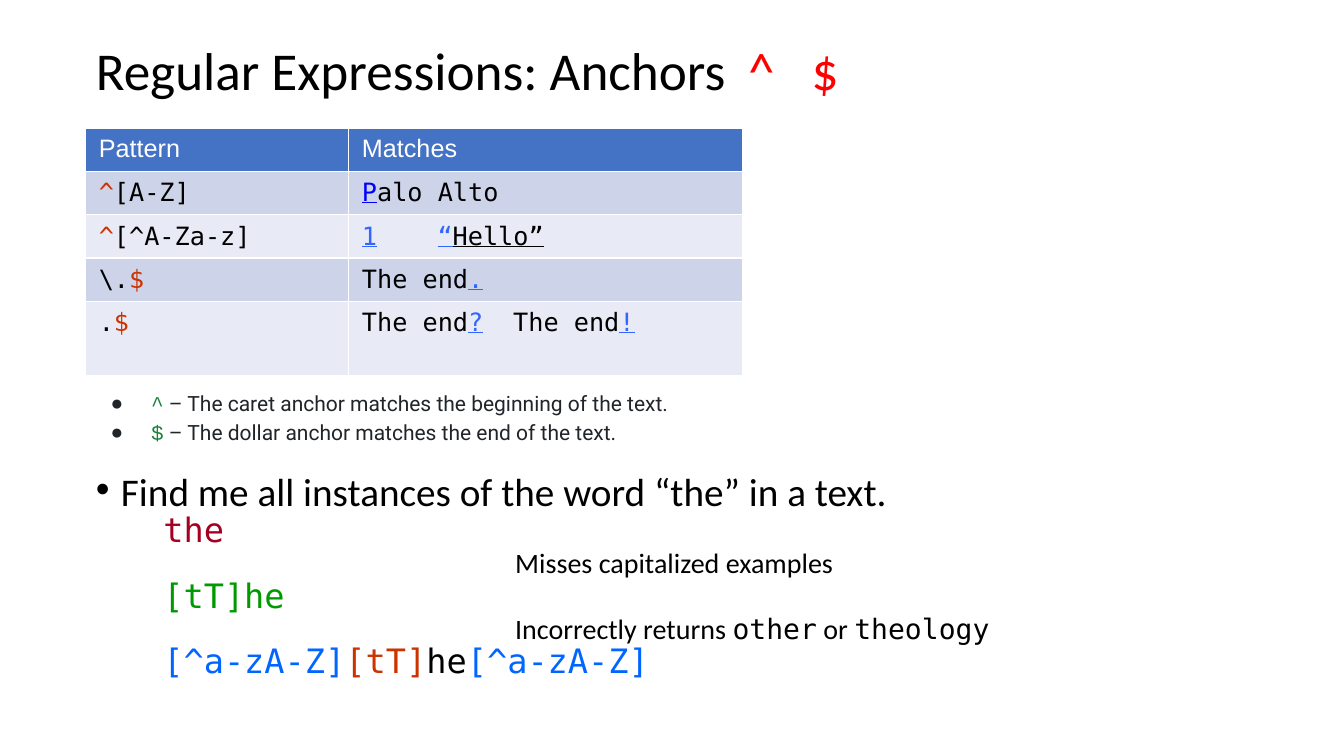
from lxml.etree import SubElement
from pptx import Presentation
from pptx.dml.color import RGBColor
from pptx.enum.text import MSO_ANCHOR, MSO_AUTO_SIZE, PP_ALIGN
from pptx.oxml.ns import qn
from pptx.util import Inches, Pt

BLACK = RGBColor(0x00, 0x00, 0x00)
WHITE = RGBColor(0xFF, 0xFF, 0xFF)
RED = RGBColor(0xFF, 0x00, 0x00)
DARK_RED = RGBColor(0xA5, 0x00, 0x21)
ORANGE = RGBColor(0xCC, 0x33, 0x00)
BLUE = RGBColor(0x00, 0x00, 0xFF)
MATCH_BLUE = RGBColor(0x33, 0x66, 0xFF)
CLASS_BLUE = RGBColor(0x00, 0x66, 0xFF)
GREEN = RGBColor(0x00, 0x99, 0x00)
ANCHOR_GREEN = RGBColor(0x18, 0x80, 0x38)
CHARCOAL = RGBColor(0x21, 0x25, 0x29)
HEADER_FILL = RGBColor(0x44, 0x72, 0xC4)
BAND_FILLS = (RGBColor(0xCD, 0xD4, 0xEA), RGBColor(0xE8, 0xEB, 0xF5))

SANS, MONO = "Calibri", "DejaVu Sans Mono"
LEFT = Inches(0.85)

# Table rows: each cell is a list of (text, colour, underlined) parts
PATTERN_ROWS = [
    ([("^", ORANGE), ("[A-Z]", BLACK)],
     [("P", BLUE, True), ("alo Alto", BLACK)]),
    ([("^", ORANGE), ("[^A-Za-z]", BLACK)],
     [("1", MATCH_BLUE, True), ("\t", MATCH_BLUE), ("“", MATCH_BLUE, True),
      ("Hello”", BLACK, True)]),
    ([("\\.", BLACK), ("$", ORANGE)],
     [("The end", BLACK), (".", MATCH_BLUE, True)]),
    ([(".", BLACK), ("$", ORANGE)],
     [("The end", BLACK), ("?", MATCH_BLUE, True), ("\t", MATCH_BLUE),
      ("The end", BLACK), ("!", MATCH_BLUE, True)]),
]

# Body lines: (level, parts), each part (text, colour, font)
BODY_LINES = [
    (0, [("Find me all instances of the word “the” in a text.", BLACK, SANS)]),
    (1, [("the", DARK_RED, MONO)]),
    (2, [("Misses capitalized examples", BLACK, SANS)]),
    (1, [("[tT]he", GREEN, MONO)]),
    (2, [("Incorrectly returns ", BLACK, SANS), ("other", BLACK, MONO),
         (" or ", BLACK, SANS), ("theology", BLACK, MONO)]),
    (1, [("[^a-zA-Z]", CLASS_BLUE, MONO), ("[tT]", ORANGE, MONO),
         ("he", BLACK, MONO), ("[^a-zA-Z]", CLASS_BLUE, MONO)]),
]
# Size, left margin, first-line indent and bullet of each body level
BODY_LEVELS = [(28, 0.25, -0.25, "•"), (24, 0.67, 0, None), (20, 4.16, 0, None)]


def add_text(paragraph, text, size, color, font, underline=False):
    run = paragraph.add_run()
    run.text = text
    run.font.size = Pt(size)
    run.font.name = font
    run.font.bold = False
    run.font.underline = underline
    run.font.color.rgb = color


def set_bullet(paragraph, margin, indent, bullet, color):
    properties = paragraph._p.get_or_add_pPr()
    properties.set("marL", str(Inches(margin)))
    properties.set("indent", str(Inches(indent)))
    if bullet is None:
        SubElement(properties, qn("a:buNone"))
        return
    bullet_color = SubElement(properties, qn("a:buClr"))
    SubElement(bullet_color, qn("a:srgbClr"), val=str(color))
    SubElement(properties, qn("a:buFont"), typeface="Arial")
    SubElement(properties, qn("a:buChar"), char=bullet)


def set_tabs(paragraph, *positions):
    tabs = SubElement(paragraph._p.get_or_add_pPr(), qn("a:tabLst"))
    for position in positions:
        SubElement(tabs, qn("a:tab"), pos=str(Inches(position)), algn="l")


def place(shape, top, width, height):
    shape.left, shape.top = LEFT, Inches(top)
    shape.width, shape.height = Inches(width), Inches(height)
    shape.text_frame.word_wrap = True
    shape.text_frame.auto_size = MSO_AUTO_SIZE.NONE


def fill_title(title):
    place(title, 0, 11.5, 1.45)
    title.text_frame.vertical_anchor = MSO_ANCHOR.MIDDLE
    paragraph = title.text_frame.paragraphs[0]
    set_tabs(paragraph, 6.47, 7.1)
    paragraph.alignment = PP_ALIGN.LEFT
    paragraph.line_spacing = 0.9
    add_text(paragraph, "Regular Expressions: Anchors", 38, BLACK, SANS)
    add_text(paragraph, "\t^\t$", 38, RED, SANS)


def format_cell(cell, fill):
    cell.fill.solid()
    cell.fill.fore_color.rgb = fill
    cell.margin_left = cell.margin_right = Inches(0.13)
    cell.margin_top = cell.margin_bottom = Inches(0.07)
    return cell.text_frame.paragraphs[0]


def add_pattern_table(slide):
    heights = [0.43] * 4 + [0.74]
    widths = [2.61, 3.91]
    table = slide.shapes.add_table(
        len(heights), len(widths), LEFT, Inches(1.27),
        Inches(sum(widths)), Inches(sum(heights))).table
    for row, height in zip(table.rows, heights):
        row.height = Inches(height)
    for column, width in enumerate(widths):
        table.columns[column].width = Inches(width)
        header = format_cell(table.cell(0, column), HEADER_FILL)
        add_text(header, ("Pattern", "Matches")[column], 18, WHITE, "Arial")
        for index, row in enumerate(PATTERN_ROWS):
            fill = BAND_FILLS[index % 2]
            paragraph = format_cell(table.cell(index + 1, column), fill)
            if any(part[0] == "\t" for part in row[column]):
                set_tabs(paragraph, 0.75, 1.5)
            for text, color, *underline in row[column]:
                add_text(paragraph, text, 18, color, MONO, bool(underline))


def add_anchor_notes(slide):
    box = slide.shapes.add_textbox(0, 0, 0, 0)
    place(box, 3.74, 7.77, 0.74)
    frame = box.text_frame
    frame.margin_top = frame.margin_bottom = Inches(0.1)
    frame.add_paragraph()
    notes = [("^", " – The caret anchor matches the beginning of the text."),
             ("$", " – The dollar anchor matches the end of the text.")]
    for paragraph, (anchor, meaning) in zip(frame.paragraphs, notes):
        set_bullet(paragraph, 0.55, -0.4, "●", CHARCOAL)
        paragraph.line_spacing = 1.15
        add_text(paragraph, anchor, 15, ANCHOR_GREEN, "Courier New")
        add_text(paragraph, meaning, 15, CHARCOAL, "Roboto")


def fill_body(body):
    place(body, 4.71, 11.5, 2.16)
    frame = body.text_frame
    for index, (level, parts) in enumerate(BODY_LINES):
        paragraph = frame.add_paragraph() if index else frame.paragraphs[0]
        size, margin, indent, bullet = BODY_LEVELS[level]
        paragraph.level = level
        set_bullet(paragraph, margin, indent, bullet, BLACK)
        paragraph.line_spacing = 0.7
        paragraph.space_before = Pt(5 if index else 0)
        for text, color, font in parts:
            add_text(paragraph, text, size, color, font)


def main():
    presentation = Presentation()
    presentation.slide_width = Inches(13.33)
    presentation.slide_height = Inches(7.5)
    slide = presentation.slides.add_slide(presentation.slide_layouts[1])
    fill_title(slide.shapes.title)
    add_pattern_table(slide)
    add_anchor_notes(slide)
    fill_body(slide.placeholders[1])
    presentation.save("out.pptx")


if __name__ == "__main__":
    main()
